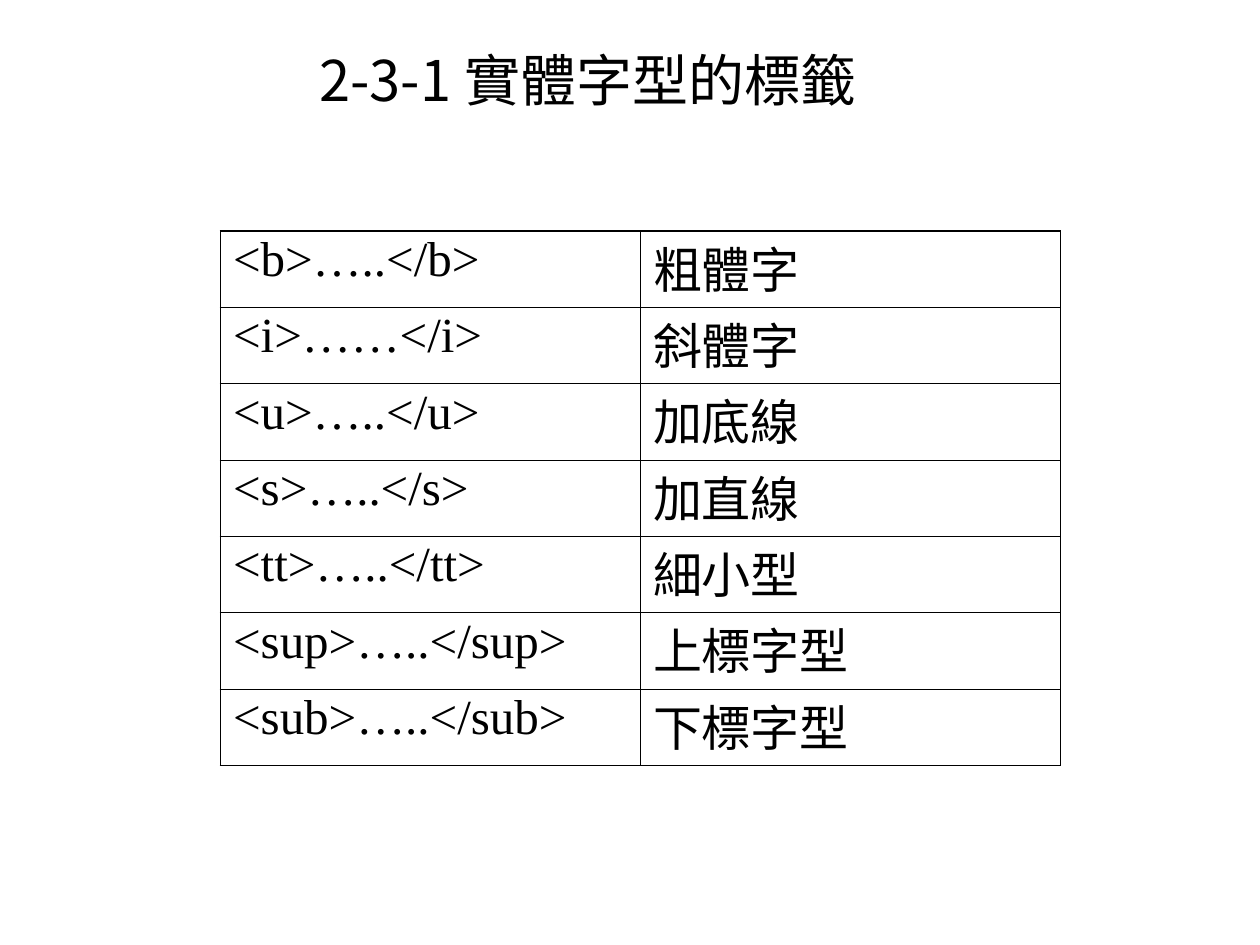
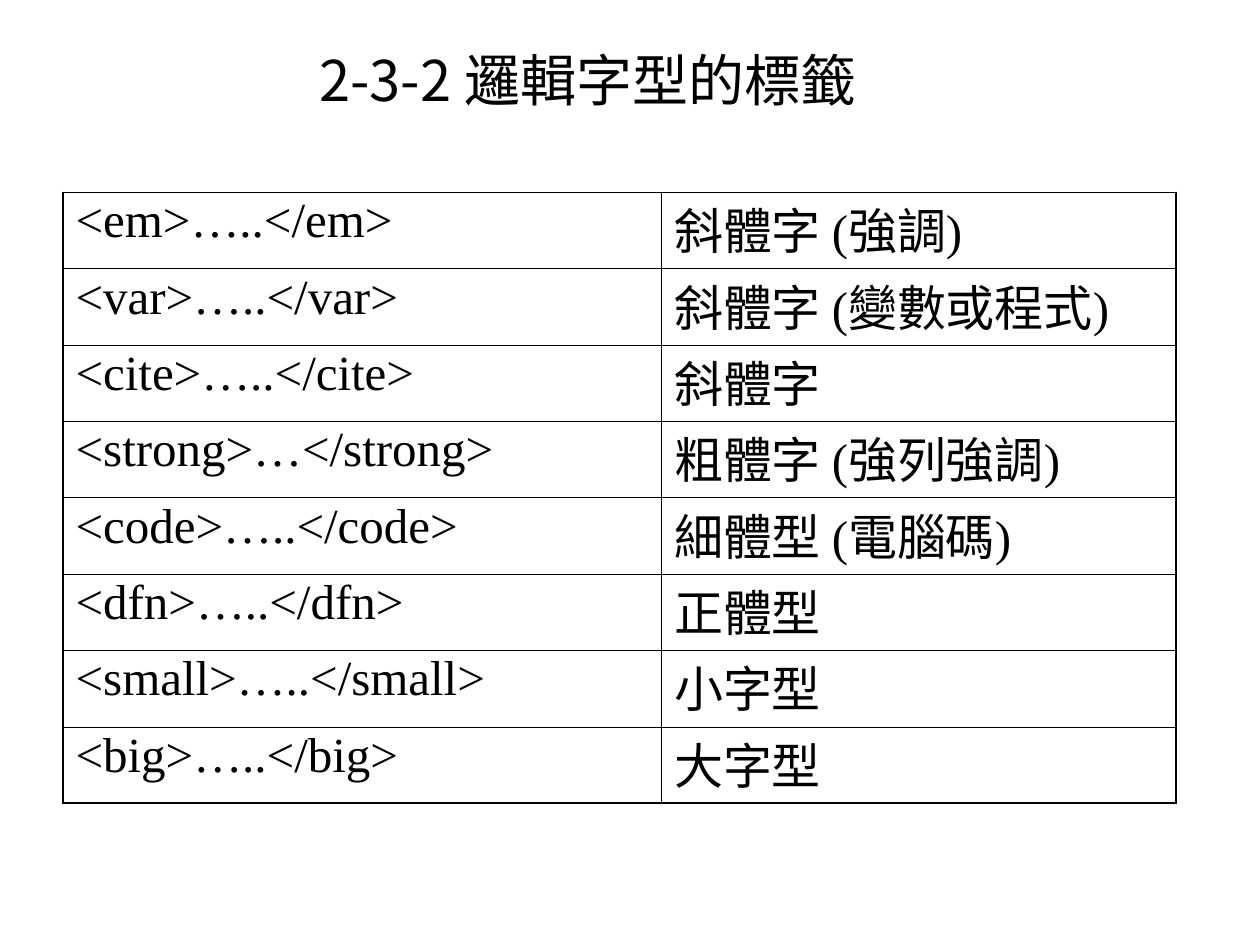
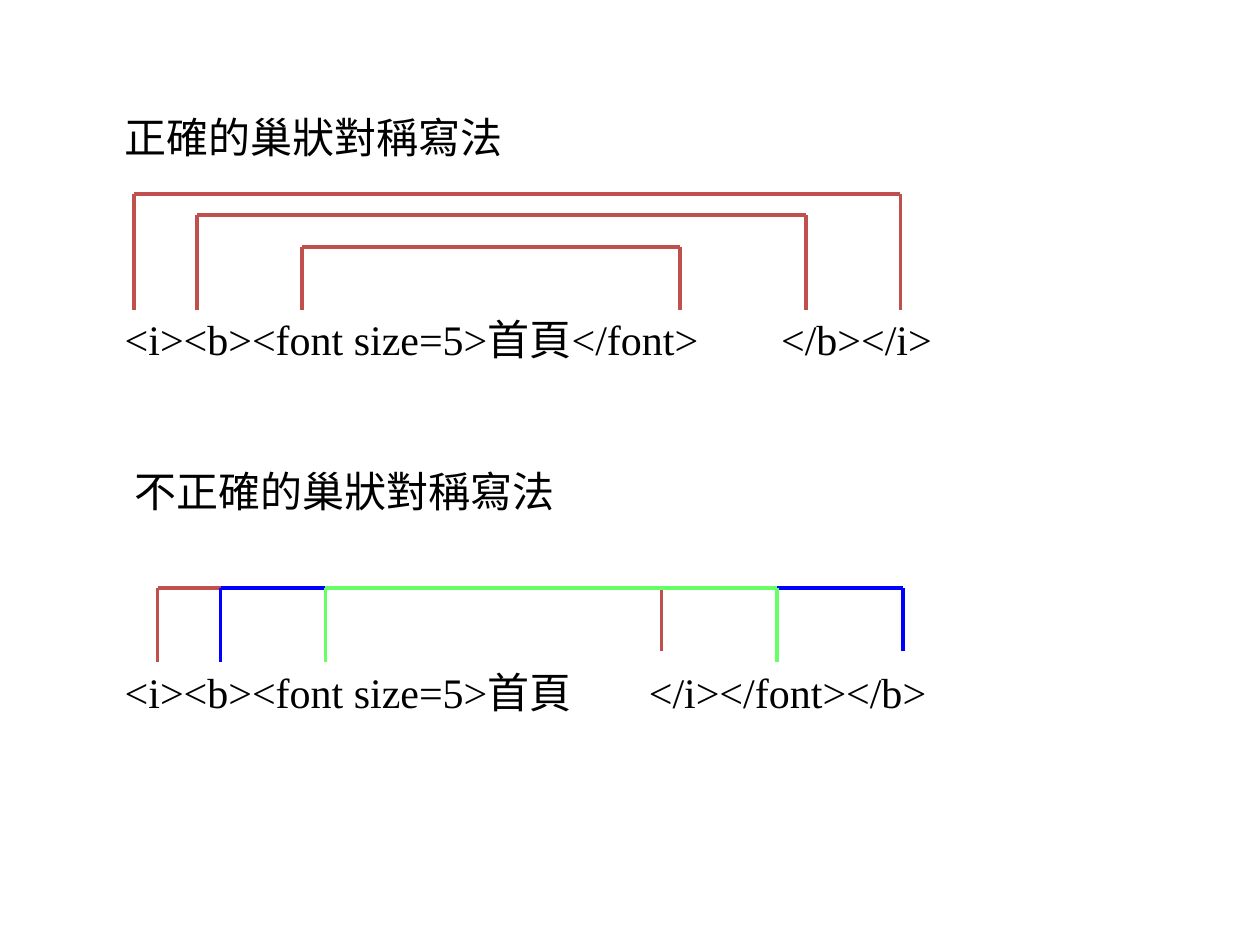
import pptx
import pptx.dml.color
import pptx.enum.shapes
import pptx.enum.text
import pptx.oxml
import pptx.oxml.ns
import pptx.util

INK, RED, BLUE, GREEN = "000000", "C0504D", "0000FF", "66FF66"
LATIN_FONT, CHINESE_FONT = "Times New Roman", "Noto Sans CJK TC"
COLUMNS, ROWS = 120, 90  # the grid that every position refers to
TITLE_BOX = (3, 0, 106, 15)
ROW_HEIGHT = 6.67
OUTER_BORDER, INNER_BORDER = 1.08, 0.45


def color(hex_string):
    return pptx.dml.color.RGBColor.from_string(hex_string)


def add_element(parent, tag, **attributes):
    element = pptx.oxml.parse_xml(f"<{tag} {pptx.oxml.ns.nsdecls('a')}/>")
    for name, value in attributes.items():
        element.set(name, str(value))
    parent.append(element)
    return element


def write_text(paragraph, text, size=24, font=LATIN_FONT, align=None,
               line_spacing=None, space_before=0, indent=0, tab=None):
    """Fill a paragraph with one run; indent and tab are in inches."""
    properties = paragraph._p.get_or_add_pPr()
    if tab:
        tabs = add_element(properties, "a:tabLst")
        add_element(tabs, "a:tab", pos=pptx.util.Inches(tab), algn="l")
    if indent:
        properties.set("marL", str(pptx.util.Inches(indent)))
    paragraph.alignment = align
    paragraph.line_spacing = line_spacing
    paragraph.space_before = pptx.util.Pt(space_before)
    run = paragraph.add_run()
    run.text = text
    run.font.size = pptx.util.Pt(size)
    run.font.color.rgb = color(INK)
    run.font.name = font
    add_element(run._r.get_or_add_rPr(), "a:ea", typeface=CHINESE_FONT)


class Deck:
    """Holds the presentation, its grid and the current slide."""

    def __init__(self):
        self.presentation = pptx.Presentation()
        self.presentation.slide_width = pptx.util.Inches(10)
        self.presentation.slide_height = pptx.util.Inches(7.5)
        self.slide = None

    def x(self, columns):
        return round(self.presentation.slide_width * columns / COLUMNS)

    def y(self, rows):
        return round(self.presentation.slide_height * rows / ROWS)

    def box(self, left, top, width, height):
        return self.x(left), self.y(top), self.x(width), self.y(height)

    def new_slide(self, title=None):
        layout = self.presentation.slide_layouts[5 if title else 6]
        self.slide = self.presentation.slides.add_slide(layout)
        if title:
            shape = self.slide.shapes.title
            shape.left, shape.top, shape.width, shape.height = self.box(*TITLE_BOX)
            shape.text_frame.vertical_anchor = pptx.enum.text.MSO_ANCHOR.MIDDLE
            write_text(shape.text_frame.paragraphs[0], title, size=32,
                       font=CHINESE_FONT, align=pptx.enum.text.PP_ALIGN.CENTER)

    def text(self, place, lines):
        """Lines are pairs of a text and its format."""
        frame = self.slide.shapes.add_textbox(*self.box(*place)).text_frame
        frame.word_wrap = True
        for index, (text, style) in enumerate(lines):
            paragraph = frame.add_paragraph() if index else frame.paragraphs[0]
            write_text(paragraph, text, **style)

    def table(self, left, top, widths, rows):
        place = self.box(left, top, sum(widths), ROW_HEIGHT * len(rows))
        table = self.slide.shapes.add_table(len(rows), len(widths), *place).table
        table.first_row = table.horz_banding = False
        for column, width in zip(table.columns, widths):
            column.width = self.x(width)
        for row_index, row in enumerate(rows):
            table.rows[row_index].height = self.y(ROW_HEIGHT)
            for column_index, text in enumerate(row):
                cell = table.cell(row_index, column_index)
                write_text(cell.text_frame.paragraphs[0], text, size=28, line_spacing=0.9)
                self.borders(cell, {
                    "L": column_index == 0, "R": column_index == len(widths) - 1,
                    "T": row_index == 0, "B": row_index == len(rows) - 1})
                cell.fill.background()

    def borders(self, cell, outer_sides):
        properties = cell._tc.get_or_add_tcPr()
        for side, outer in outer_sides.items():
            width = pptx.util.Pt(OUTER_BORDER if outer else INNER_BORDER)
            line = add_element(properties, f"a:ln{side}", w=width)
            add_element(add_element(line, "a:solidFill"), "a:srgbClr", val=INK)

    def line(self, start, end, line_color):
        connector = self.slide.shapes.add_connector(
            pptx.enum.shapes.MSO_CONNECTOR.STRAIGHT,
            self.x(start[0]), self.y(start[1]), self.x(end[0]), self.y(end[1]))
        connector.line.color.rgb = color(line_color)
        connector.line.width = pptx.util.Pt(2)
        add_element(connector._element.spPr, "a:effectLst")

    def bracket(self, left, right, top, left_foot, right_foot, line_color):
        corners = [(left, left_foot), (left, top), (right, top), (right, right_foot)]
        for start, end in zip(corners, corners[1:]):
            self.line(start, end, line_color)


def main():
    deck = Deck()

    # Physical font tags
    deck.new_slide("2-3-1 實體字型的標籤")
    deck.table(21, 22, (40, 40), [
        ("<b>…..</b>", "粗體字"),
        ("<i>……</i>", "斜體字"),
        ("<u>…..</u>", "加底線"),
        ("<s>…..</s>", "加直線"),
        ("<tt>…..</tt>", "細小型"),
        ("<sup>…..</sup>", "上標字型"),
        ("<sub>…..</sub>", "下標字型"),
    ])

    # Logical font tags
    deck.new_slide("2-3-2 邏輯字型的標籤")
    deck.table(6, 18.33, (57, 49), [
        ("<em>…..</em>", "斜體字 (強調)"),
        ("<var>…..</var>", "斜體字 (變數或程式)"),
        ("<cite>…..</cite>", "斜體字"),
        ("<strong>…</strong>", "粗體字 (強列強調)"),
        ("<code>…..</code>", "細體型 (電腦碼)"),
        ("<dfn>…..</dfn>", "正體型"),
        ("<small>…..</small>", "小字型"),
        ("<big>…..</big>", "大字型"),
    ])

    # Right and wrong nesting
    deck.new_slide()
    deck.text((10.7, 10, 79.7, 58.8), [
        ("正確的巢狀對稱寫法", {}),
        ("<i><b><font size=5>首頁</font>\t</b></i>", {"space_before": 87, "tab": 5.21}),
        ("不正確的巢狀對稱寫法", {"space_before": 58, "indent": 0.08}),
        ("<i><b><font size=5>首頁\t</i></font></b>", {"space_before": 86, "tab": 4.16}),
    ])
    for left, right, top in [(12.75, 85.75, 18.5), (18.75, 76.75, 20.5), (28.75, 64.75, 23.5)]:
        deck.bracket(left, right, top, 29.5, 29.5, RED)
    for left, right, right_foot, line_color in [
            (15, 63, 62, RED), (21, 86, 62, BLUE), (31, 74, 63, GREEN)]:
        deck.bracket(left, right, 56, 63, right_foot, line_color)

    deck.presentation.save("out.pptx")


if __name__ == "__main__":
    main()
